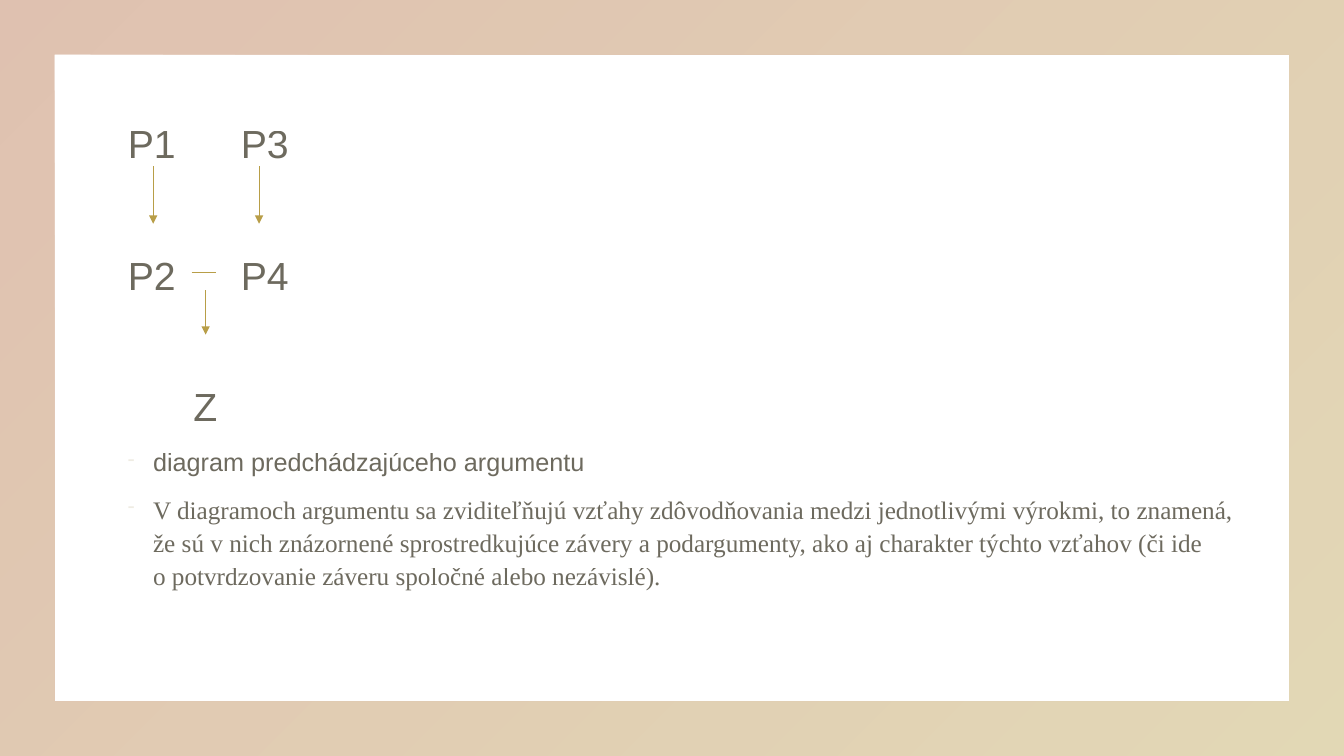
"""Build a slide with an argument diagram and its explanation."""
from dataclasses import dataclass

import lxml.etree
import pptx
import pptx.dml.color
import pptx.enum.shapes
import pptx.oxml.ns
import pptx.util

Inches = pptx.util.Inches
Pt = pptx.util.Pt
RGBColor = pptx.dml.color.RGBColor
qn = pptx.oxml.ns.qn

RUST = RGBColor(0xB1, 0x65, 0x3B)
GOLD = RGBColor(0xB8, 0x9E, 0x48)
INK = RGBColor(0x30, 0x2B, 0x1B)
BULLET_COLOR = "EFECE3"
HARD_SPACE = chr(160)


@dataclass(frozen=True)
class Link:
    start: tuple[float, float]
    end: tuple[float, float]
    arrow: bool = True


@dataclass(frozen=True)
class Line:
    text: str
    size: int = 28
    font: str = "Arial"
    before: float = 57
    margin: float = 0.25
    indent: float = 0
    bullet: str | None = None


@dataclass(frozen=True)
class Block:
    left: float
    width: float
    height: float
    lines: tuple[Line, ...]


LINKS = [
    Link((1.52, 1.65), (1.52, 2.22)),
    Link((2.57, 1.65), (2.57, 2.22)),
    Link((1.9, 2.7), (2.14, 2.7), arrow=False),
    Link((2.04, 2.88), (2.04, 3.32)),
]

BLOCK_TOP = 1.09
BLOCKS = [
    Block(0.92, 11.5, 5.67, (
        Line("P1", before=0),
        Line("P2"),
        Line("Z", margin=0.9),
        Line("diagram predchádzajúceho argumentu", size=18, before=10,
             margin=0.5, indent=-0.25, bullet="-"),
        Line("V diagramoch argumentu sa zviditeľňujú vzťahy zdôvodňovania medzi "
             f"jednotlivými výrokmi, to znamená, že sú v{HARD_SPACE}nich znázornené "
             f"sprostredkujúce závery a{HARD_SPACE}podargumenty, ako aj charakter "
             f"týchto vzťahov (či ide o{HARD_SPACE}potvrdzovanie záveru spoločné "
             "alebo nezávislé).",
             size=18, font="Times New Roman", before=10,
             margin=0.5, indent=-0.25, bullet="-"),
    )),
    Block(2.04, 1.2, 2, (Line("P3", before=0), Line("P4"))),
]


def add_node(parent, tag: str, **attributes: str):
    return lxml.etree.SubElement(parent, qn(tag), attributes)


def set_opacity(element, percent: int) -> None:
    for color in element.iter(qn("a:srgbClr")):
        add_node(color, "a:alpha", val=str(percent * 1000))


def add_frame(slide) -> None:
    frame = slide.shapes.add_shape(
        pptx.enum.shapes.MSO_SHAPE.FRAME, 0, 0, Inches(13.33), Inches(7.5))
    frame.adjustments[0] = 0.072
    frame.shadow.inherit = False
    frame.line.fill.background()
    frame.fill.gradient()
    frame.fill.gradient_angle = 315
    for stop, color, position in zip(frame.fill.gradient_stops, (RUST, GOLD), (0, 1)):
        stop.color.rgb = color
        stop.position = position
    set_opacity(frame._element.spPr, 40)


def add_text(para, text: str, *, size: int, font: str, before: float,
             margin: float, indent: float, bullet: str | None) -> None:
    para.line_spacing = 1.1
    para.space_before = Pt(before)
    properties = para._p.get_or_add_pPr()
    properties.set("marL", str(Inches(margin)))
    properties.set("indent", str(Inches(indent)))
    if bullet:
        add_node(add_node(properties, "a:buClr"), "a:srgbClr", val=BULLET_COLOR)
        add_node(properties, "a:buSzPct", val="80000")
        add_node(properties, "a:buChar", char=bullet)
    span = para.add_run()
    span.text = text
    span.font.size = Pt(size)
    span.font.name = font
    span.font.color.rgb = INK
    set_opacity(span._r, 70)


def add_block(slide, block: Block) -> None:
    box = slide.shapes.add_textbox(
        *map(Inches, (block.left, BLOCK_TOP, block.width, block.height)))
    frame = box.text_frame
    frame.word_wrap = True
    for index, line in enumerate(block.lines):
        para = frame.add_paragraph() if index else frame.paragraphs[0]
        add_text(para, line.text, size=line.size, font=line.font,
                 before=line.before, margin=line.margin, indent=line.indent,
                 bullet=line.bullet)


def add_link(slide, link: Link) -> None:
    connector = slide.shapes.add_connector(
        pptx.enum.shapes.MSO_CONNECTOR.STRAIGHT,
        *map(Inches, link.start), *map(Inches, link.end))
    connector.line.color.rgb = GOLD
    connector.line.width = Pt(0.5)
    if link.arrow:
        add_node(connector.line._get_or_add_ln(), "a:tailEnd", type="triangle")
    add_node(connector._element.spPr, "a:effectLst")


def main() -> None:
    deck = pptx.Presentation()
    deck.slide_width, deck.slide_height = Inches(13.33), Inches(7.5)
    slide = deck.slides.add_slide(deck.slide_layouts[6])
    add_frame(slide)
    for block in BLOCKS:
        add_block(slide, block)
    for link in LINKS:
        add_link(slide, link)
    deck.save("out.pptx")


if __name__ == "__main__":
    main()
